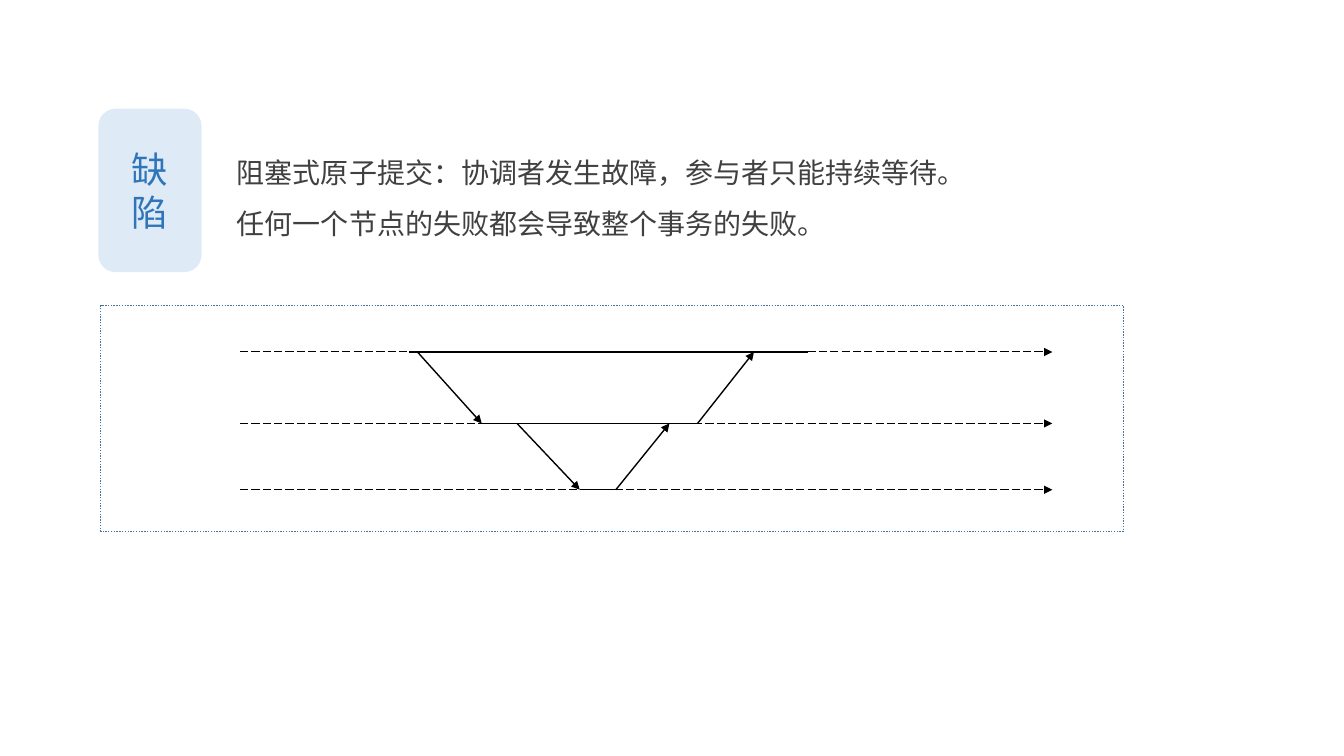
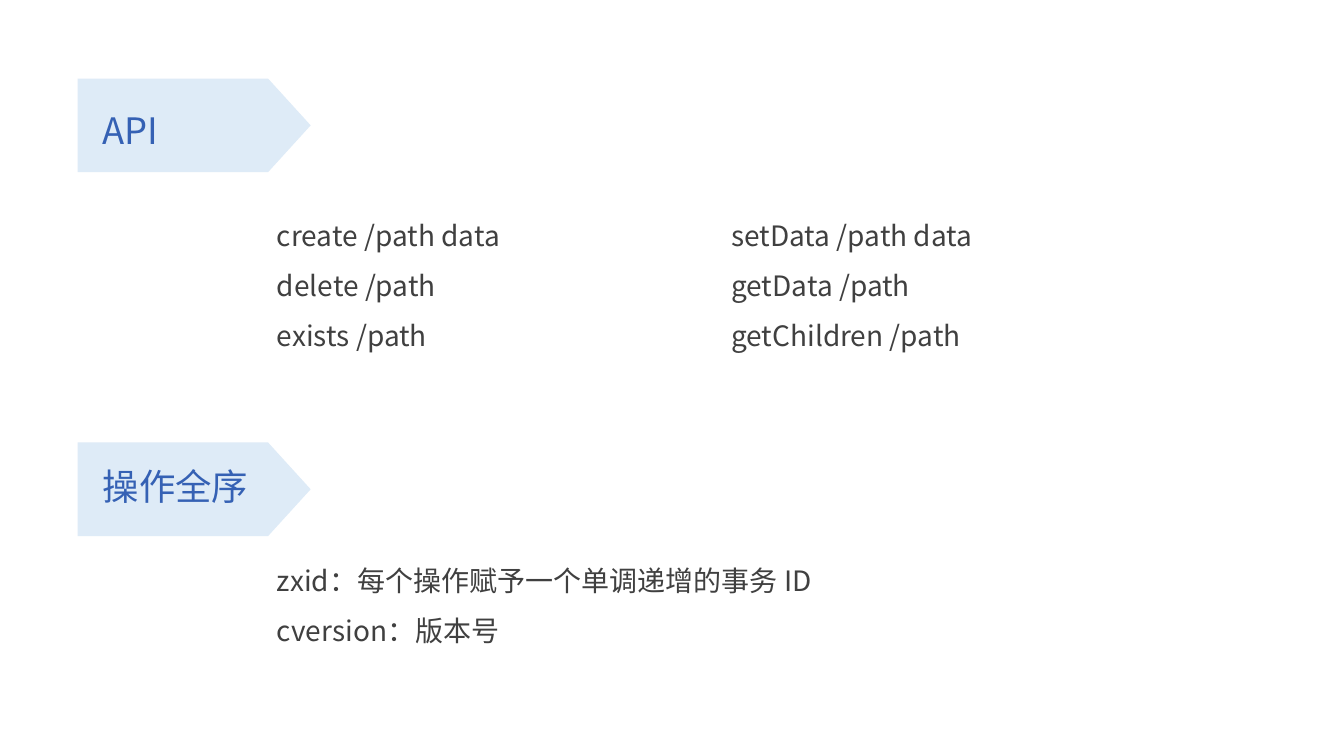
from lxml import etree
from pptx import Presentation
from pptx.dml.color import RGBColor
from pptx.enum.dml import MSO_LINE
from pptx.enum.shapes import MSO_CONNECTOR, MSO_SHAPE
from pptx.enum.text import MSO_ANCHOR, PP_ALIGN
from pptx.oxml.ns import qn
from pptx.util import Cm, Pt

RECT = MSO_SHAPE.RECTANGLE
ROUND = MSO_SHAPE.ROUNDED_RECTANGLE
TAG = MSO_SHAPE.PENTAGON
STRAIGHT = MSO_CONNECTOR.STRAIGHT
DOTS = MSO_LINE.ROUND_DOT
DASHES = MSO_LINE.LONG_DASH
MIDDLE = MSO_ANCHOR.MIDDLE
CENTER = PP_ALIGN.CENTER

FONT = "Noto Sans CJK SC"
PALE = RGBColor(0xDE, 0xEB, 0xF7)
BLUE = RGBColor(0x30, 0x75, 0xBA)
ROYAL = RGBColor(0x35, 0x61, 0xB4)
STEEL = RGBColor(0x43, 0x73, 0x9E)
GRAY = RGBColor(0x40, 0x40, 0x40)
BLACK = RGBColor(0, 0, 0)

HEAD_SIZE = 26
BODY_SIZE = 20


# Shared elements
def write(frame, lines, size, color, spacing=None):
    frame.word_wrap = True
    frame.text = "\n".join(lines)
    for para in frame.paragraphs:
        para.line_spacing = spacing
        for run in para.runs:
            run.font.name = FONT
            run.font.size = Pt(size)
            run.font.color.rgb = color
            east = etree.SubElement(run.font._element, qn("a:ea"))
            east.set("typeface", FONT)


def add_text(slide, left, top, width, height, lines, size, color, spacing=None):
    box = slide.shapes.add_textbox(Cm(left), Cm(top), Cm(width), Cm(height))
    write(box.text_frame, lines, size, color, spacing)


def add_body(slide, left, top, width, lines):
    height = 0.25 + 1.28 * len(lines)
    add_text(slide, left, top, width, height, lines, BODY_SIZE, GRAY, 1.5)


def add_panel(slide, kind, left, top, width, height):
    panel = slide.shapes.add_shape(kind, Cm(left), Cm(top), Cm(width), Cm(height))
    panel.shadow.inherit = False
    panel.fill.solid()
    panel.fill.fore_color.rgb = PALE
    panel.line.fill.background()
    return panel


def add_line(slide, start, end, width=1, dash=None, arrow=False):
    x1, y1 = start
    x2, y2 = end
    link = slide.shapes.add_connector(STRAIGHT, Cm(x1), Cm(y1), Cm(x2), Cm(y2))
    link.line.color.rgb = BLACK
    link.line.width = Pt(width)
    if dash:
        link.line.dash_style = dash
    props = link._element.spPr
    if arrow:
        tail = etree.SubElement(props.find(qn("a:ln")), qn("a:tailEnd"))
        tail.set("type", "triangle")
    etree.SubElement(props, qn("a:effectLst"))


def add_tag(slide, top, label, label_top):
    tag = add_panel(slide, TAG, 1.96, top, 5.87, 2.36)
    tag.adjustments[0] = 0.455
    add_text(slide, 2.34, label_top, 9.25, 1.37, [label], HEAD_SIZE, ROYAL)


# Slide 1: drawback and message timeline
def draw_flaw(slide):
    add_body(slide, 5.72, 3.38, 23.04, [
        "阻塞式原子提交：协调者发生故障，参与者只能持续等待。",
        "任何一个节点的失败都会导致整个事务的失败。",
    ])

    frame = add_panel(slide, RECT, 2.54, 7.7, 25.78, 5.69)
    frame.fill.background()
    frame.line.color.rgb = STEEL
    frame.line.width = Pt(1)
    frame.line.dash_style = DOTS

    # Time axes, each with its busy span
    rows = [8.87, 10.67, 12.34]
    spans = [(10.31, 20.37), (12.14, 17.58), (14.61, 15.52)]
    for y, (begin, end) in zip(rows, spans):
        add_line(slide, (6.05, y), (26.52, y), 0.75, DASHES, arrow=True)
        add_line(slide, (begin, y), (end, y))

    # Calls go down to the start of a span, replies go up from its end
    calls = [10.52, 13.03]
    replies = [19, 16.87]
    for upper, lower, (begin, end), call, reply in zip(
            rows, rows[1:], spans[1:], calls, replies):
        add_line(slide, (call, upper), (begin, lower), arrow=True)
        add_line(slide, (end, lower), (reply, upper), arrow=True)

    badge = add_panel(slide, ROUND, 2.48, 2.74, 2.6, 4.12)
    text = badge.text_frame
    write(text, ["缺陷"], HEAD_SIZE, BLUE)
    text.margin_left = text.margin_right = Cm(0.45)
    text.vertical_anchor = MIDDLE
    text.paragraphs[0].alignment = CENTER


# Slide 2: API and ordering
def draw_api(slide):
    add_tag(slide, 1.98, "API", 2.59)
    add_body(slide, 6.73, 4.95, 8.15,
             ["create /path data", "delete /path", "exists /path"])
    add_body(slide, 18.18, 4.95, 8.15,
             ["setData /path data", "getData /path", "getChildren /path"])

    add_tag(slide, 11.15, "操作全序", 11.56)
    add_body(slide, 6.73, 13.64, 18.92,
             ["zxid：每个操作赋予一个单调递增的事务 ID", "cversion：版本号"])


def main():
    deck = Presentation()
    deck.slide_width = Cm(33.87)
    deck.slide_height = Cm(19.05)
    blank = deck.slide_layouts[6]
    for draw in (draw_flaw, draw_api):
        draw(deck.slides.add_slide(blank))
    deck.save("out.pptx")


if __name__ == "__main__":
    main()
